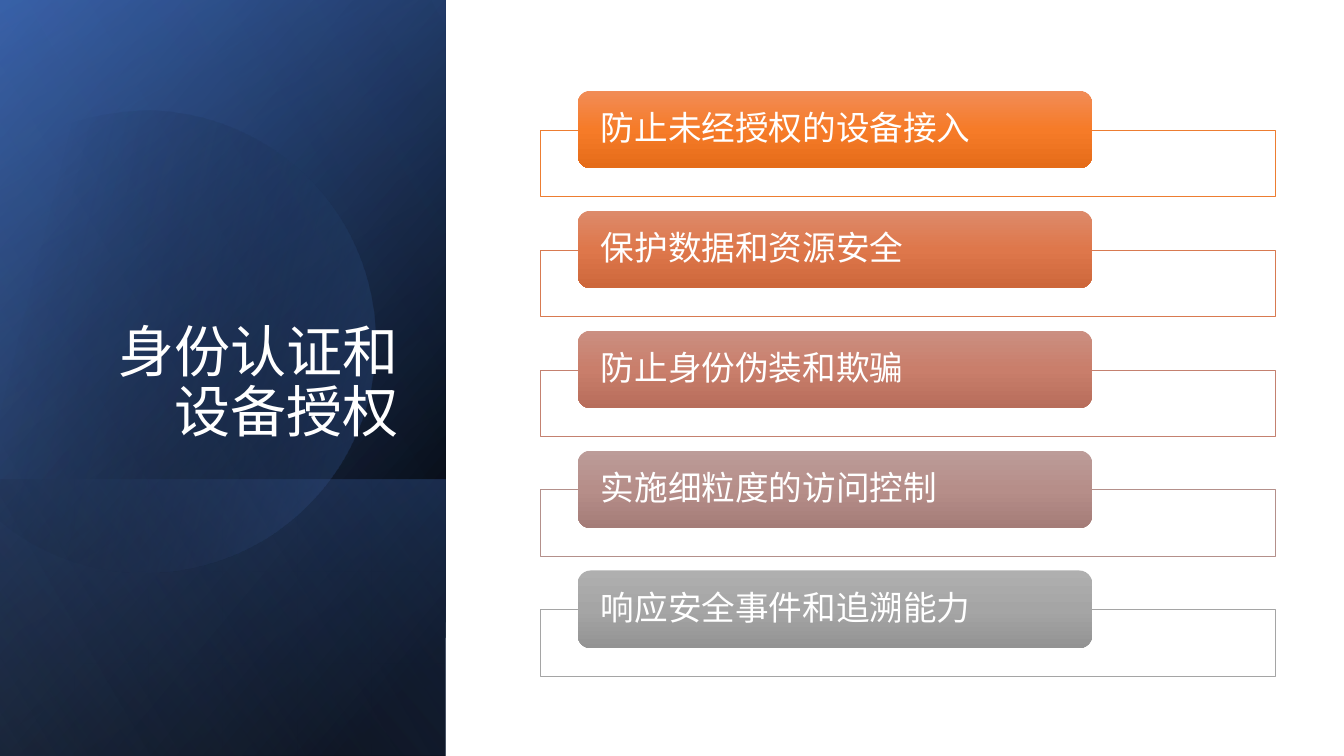
from lxml.etree import SubElement
from pptx import Presentation
from pptx.dml.color import RGBColor
from pptx.enum.shapes import MSO_SHAPE as SHAPE
from pptx.enum.text import MSO_ANCHOR as ANCHOR, PP_ALIGN as ALIGN
from pptx.oxml.ns import qn
from pptx.util import Inches, Pt

FONT = "Noto Sans CJK SC"
COLORS = {
    "white": "FFFFFF",
    "black": "000000",
    "navy": "2F5597",
    "blue": "4472C4",
    "sky": "8FAADC",
}
ITEMS = [
    ("防止未经授权的设备接入", "ED7D31", ("F18C57", "F67B28", "E56C19")),
    ("保护数据和资源安全", "D87A51", ("DD8A6A", "DE774B", "CD673B")),
    ("防止身份伪装和欺骗", "C48170", ("CB8F81", "C97E6B", "B76D5B")),
    ("实施细粒度的访问控制", "B4908B", ("BC9C99", "B68E89", "A47C78")),
    ("响应安全事件和追溯能力", "A5A5A5", ("AFAFAF", "A5A5A5", "939393")),
]
DISC_START = (2.67, 0.1)
DISC_SEGMENTS = [
    [(3.59, 0.39), (4.27, 1.26), (4.27, 2.28)],
    [(4.27, 3.55), (3.24, 4.57), (1.98, 4.57)],
    [(1.19, 4.57), (0.49, 4.17), (0.09, 3.56)],
    [(0, 3.42)],
    [(0.91, 0.27)],
    [(1.09, 0.18)],
    [(1.37, 0.06), (1.66, 0), (1.98, 0)],
    [(2.21, 0), (2.45, 0.04), DISC_START],
]


def set_gradient(sp, stops, angle):
    sp.fill.gradient()
    grad = sp._element.spPr.find(qn("a:gradFill"))
    for child in list(grad):
        grad.remove(child)
    stop_list = SubElement(grad, qn("a:gsLst"))
    for pos, color, opacity in stops:
        gs = SubElement(stop_list, qn("a:gs"), pos=str(pos * 1000))
        clr = SubElement(gs, qn("a:srgbClr"), val=color)
        if opacity < 100:
            SubElement(clr, qn("a:alpha"), val=str(opacity * 1000))
    SubElement(grad, qn("a:lin"), ang=str(angle * 60000), scaled="0")


def add_box(s, shape, x, y, w, h):
    sp = s.shapes.add_shape(shape, Inches(x), Inches(y), Inches(w), Inches(h))
    sp.shadow.inherit = False
    sp.line.fill.background()
    return sp


def add_text(s, x, y, w, h, text, size=24, align=ALIGN.LEFT,
             anchor=ANCHOR.MIDDLE, side=0.19, top=0):
    sp = s.shapes.add_textbox(Inches(x), Inches(y), Inches(w), Inches(h))
    tf = sp.text_frame
    tf.word_wrap = True
    tf.vertical_anchor = anchor
    tf.margin_left = tf.margin_right = Inches(side)
    tf.margin_top = tf.margin_bottom = Inches(top)
    p = tf.paragraphs[0]
    p.alignment = align
    p.line_spacing = 0.9
    r = p.add_run()
    r.text = text
    r.font.size = Pt(size)
    r.font.name = FONT
    r.font.color.rgb = RGBColor.from_string(COLORS["white"])
    SubElement(r._r.get_or_add_rPr(), qn("a:ea"), typeface=FONT)


def add_turned_panel(s, x, y, w, h, stops, angle):
    sp = add_box(s, SHAPE.RECTANGLE, x + (w - h) / 2, y + (h - w) / 2, h, w)
    sp.rotation = 90
    sp._element.spPr.xfrm.set("flipH", "1")
    set_gradient(sp, stops, angle)


def add_disc(s, x, y):
    points = [DISC_START] + [pt for seg in DISC_SEGMENTS for pt in seg]
    outline = [(Inches(x + px), Inches(y + py)) for px, py in points]
    builder = s.shapes.build_freeform(*outline[0])
    builder.add_line_segments(outline[1:], close=True)
    sp = builder.convert_to_shape()
    lines = iter(list(sp._element.iter(qn("a:lnTo"))))
    for seg in DISC_SEGMENTS:
        first, *others = [next(lines) for _ in seg]
        if others:
            first.tag = qn("a:cubicBezTo")
        for line in others:
            first.append(line[0])
            line.getparent().remove(line)
    sp.rotation = 343.9
    sp.shadow.inherit = False
    sp.line.fill.background()
    set_gradient(sp, [(29, COLORS["black"], 0), (100, COLORS["blue"], 43)], 30)


def add_title_panel(s, x, y, w, h):
    black, blue = COLORS["black"], COLORS["blue"]
    low = 2.74
    add_turned_panel(s, x, y, w, h,
                     [(8, black, 100), (100, COLORS["navy"], 100)], 50)
    add_turned_panel(s, x, y, w, h, [(0, black, 0), (99, blue, 46)], 30)
    add_turned_panel(s, x, y + h - low, w, low,
                     [(2, blue, 29), (100, black, 30)], 130)
    add_disc(s, x - 0.55, y + 1.06)
    add_turned_panel(s, x, y, w, h,
                     [(0, black, 0), (99, COLORS["sky"], 11)], 120)
    add_text(s, x + 0.64, y + 1.84, 3.41, 2.62, "身份认证和设备授权", size=40,
             align=ALIGN.RIGHT, anchor=ANCHOR.BOTTOM, side=0.1, top=0.05)


def add_item(s, x, y, w, text, accent, shades):
    frame = add_box(s, SHAPE.RECTANGLE, x, y + 0.39, w, 0.66)
    frame.fill.solid()
    frame.fill.fore_color.rgb = RGBColor.from_string(COLORS["white"])
    clr = frame._element.spPr.find(qn("a:solidFill"))[0]
    SubElement(clr, qn("a:alpha"), val="90000")
    frame.line.color.rgb = RGBColor.from_string(accent)
    frame.line.width = Pt(0.5)
    card = add_box(s, SHAPE.ROUNDED_RECTANGLE, x + 0.37, y, w * 0.7, 0.77)
    set_gradient(card, [(i * 50, c, 100) for i, c in enumerate(shades)], 90)
    add_text(s, x + 0.41, y + 0.04, w * 0.7 - 0.08, 0.7, text)


def add_item_list(s, x, y, w, pitch):
    for i, item in enumerate(ITEMS):
        add_item(s, x, y + i * pitch, w, *item)


def main():
    prs = Presentation()
    prs.slide_width, prs.slide_height = Inches(13.33), Inches(7.5)
    s = prs.slides.add_slide(prs.slide_layouts[6])
    add_title_panel(s, 0, 0, 4.42, 7.5)
    add_item_list(s, 5.36, 0.9, 7.29, 1.19)
    prs.save("out.pptx")


if __name__ == "__main__":
    main()
